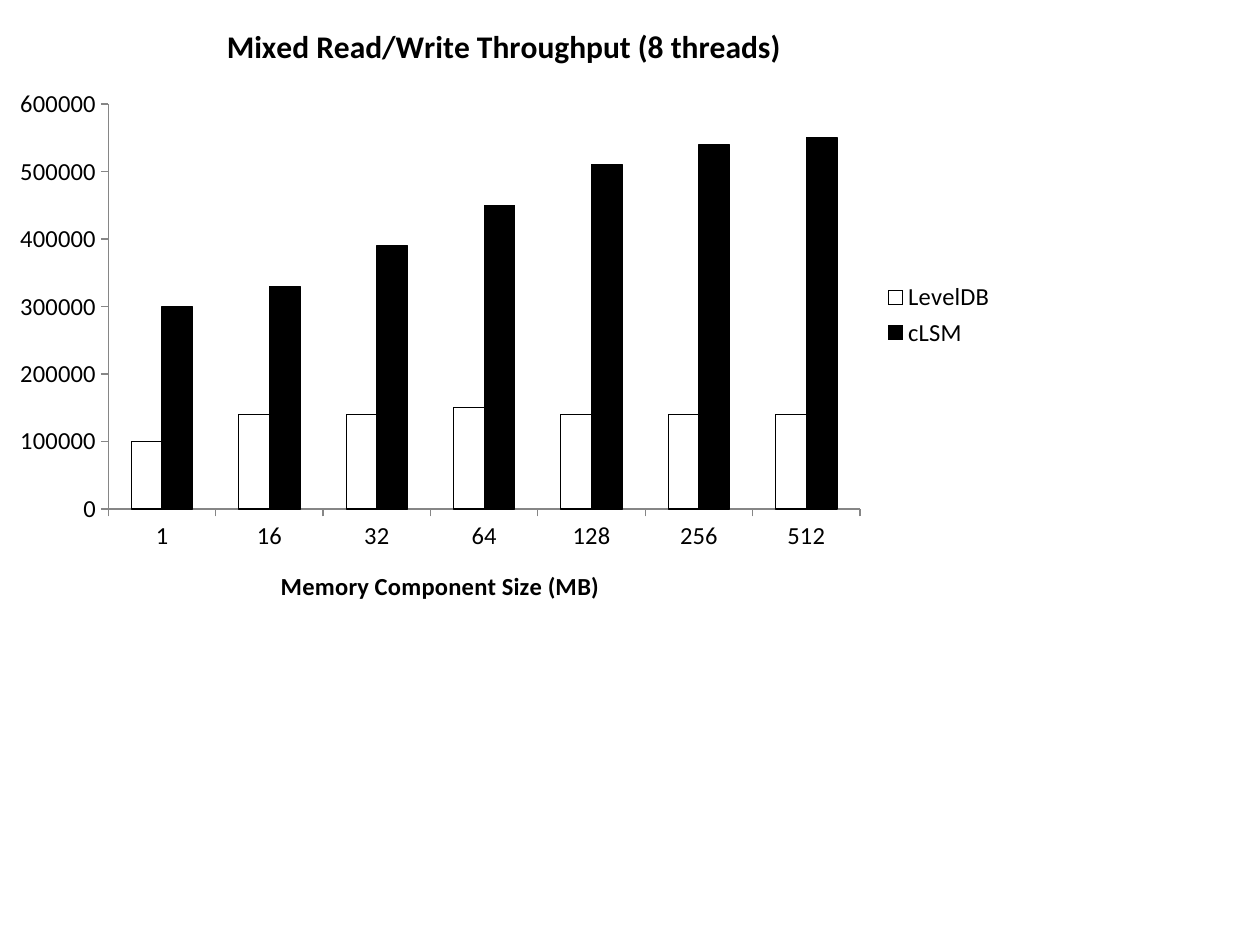
from pptx import Presentation
from pptx.chart.data import CategoryChartData
from pptx.dml.color import RGBColor
from pptx.enum.chart import XL_CHART_TYPE, XL_LEGEND_POSITION, XL_TICK_MARK
from pptx.util import Inches, Pt

COLUMNS = XL_CHART_TYPE.COLUMN_CLUSTERED
LEGEND_RIGHT = XL_LEGEND_POSITION.RIGHT
TICK_OUTSIDE = XL_TICK_MARK.OUTSIDE
BLANK_LAYOUT = 6

COLORS = {"text": "000000", "outline": "000000", "axis": "868686",
          "LevelDB": "FFFFFF", "cLSM": "000000"}
SIZES = ["1", "16", "32", "64", "128", "256", "512"]
THROUGHPUT = {
    "LevelDB": [100000, 140000, 140000, 150000, 140000, 140000, 140000],
    "cLSM": [300000, 330000, 390000, 450000, 510000, 540000, 550000],
}


class SlideBuilder:
    font_name = "Calibri"

    def __init__(self, prs):
        self.s = prs.slides.add_slide(prs.slide_layouts[BLANK_LAYOUT])

    def color(self, name):
        return RGBColor.from_string(COLORS[name])

    def style_font(self, font, size, bold=False):
        font.name = self.font_name
        font.size = Pt(size)
        font.bold = bold
        font.color.rgb = self.color("text")

    def title(self, owner, text, size):
        tf = owner.text_frame
        tf.text = text
        self.style_font(tf.paragraphs[0].runs[0].font, size, bold=True)

    def axis(self, axis):
        axis.has_major_gridlines = False
        axis.major_tick_mark = TICK_OUTSIDE
        axis.format.line.color.rgb = self.color("axis")
        axis.format.line.width = Pt(0.75)
        self.style_font(axis.tick_labels.font, 14)

    def series(self, series):
        series.format.fill.solid()
        series.format.fill.fore_color.rgb = self.color(series.name)
        series.format.line.color.rgb = self.color("outline")
        series.format.line.width = Pt(0.75)
        series.invert_if_negative = False

    def column_chart(self, left, top, width, height, title, axis_title):
        data = CategoryChartData(number_format="General")
        data.categories = SIZES
        for name, values in THROUGHPUT.items():
            data.add_series(name, values)
        chart = self.s.shapes.add_chart(
            COLUMNS, Inches(left), Inches(top), Inches(width), Inches(height), data).chart
        self.style_font(chart.font, 10)
        chart.has_title = True
        self.title(chart.chart_title, title, 18)
        chart.chart_title.include_in_layout = False

        for axis in (chart.category_axis, chart.value_axis):
            self.axis(axis)
        self.title(chart.category_axis.axis_title, axis_title, 14)
        chart.value_axis.minimum_scale = 0
        chart.value_axis.maximum_scale = 600000
        chart.value_axis.major_unit = 100000

        chart.has_legend = True
        chart.legend.position = LEGEND_RIGHT
        chart.legend.include_in_layout = False
        self.style_font(chart.legend.font, 14)

        plot = chart.plots[0]
        plot.gap_width = 150
        plot.overlap = 0
        plot.vary_by_categories = False
        for series in plot.series:
            self.series(series)


def main():
    prs = Presentation()
    prs.slide_width = Inches(10)
    prs.slide_height = Inches(7.5)
    slide = SlideBuilder(prs)
    slide.column_chart(0, 0, 8, 5, "Mixed Read/Write Throughput (8 threads)",
                       "Memory Component Size (MB)")
    prs.save("out.pptx")


if __name__ == "__main__":
    main()
